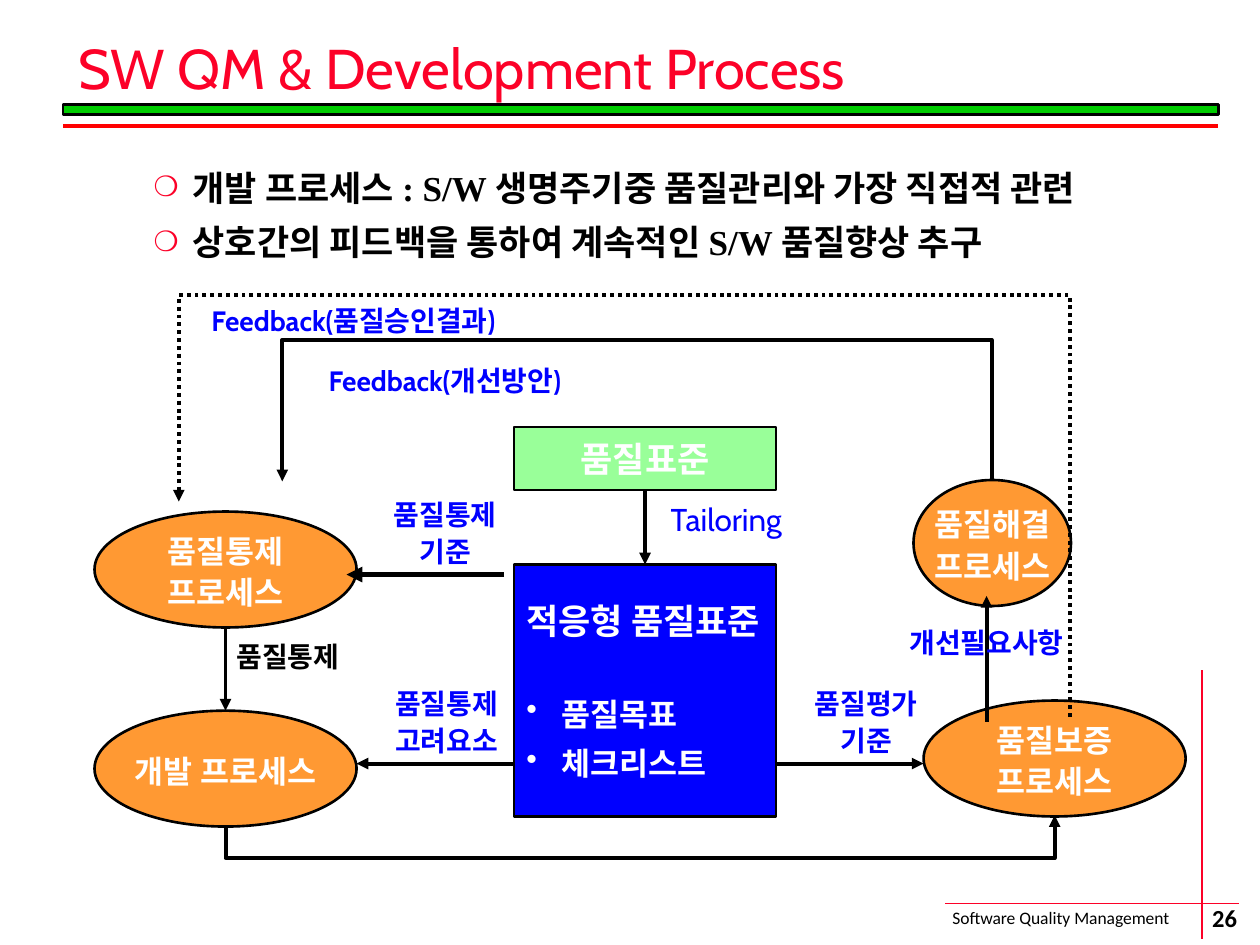
from dataclasses import dataclass
from typing import Optional

from lxml.etree import SubElement
from pptx import Presentation
from pptx.dml.color import RGBColor
from pptx.enum.dml import MSO_LINE
from pptx.enum.shapes import MSO_CONNECTOR, MSO_SHAPE
from pptx.enum.text import MSO_ANCHOR, MSO_AUTO_SIZE, PP_ALIGN
from pptx.oxml.ns import qn
from pptx.util import Inches, Pt

BLACK = RGBColor(0x00, 0x00, 0x00)
WHITE = RGBColor(0xFF, 0xFF, 0xFF)
BLUE = RGBColor(0x00, 0x00, 0xFF)
RED = RGBColor(0xFF, 0x00, 0x00)
CRIMSON = RGBColor(0xFC, 0x01, 0x28)
GREEN = RGBColor(0x00, 0xCC, 0x00)
MINT = RGBColor(0x99, 0xFF, 0x99)
ORANGE = RGBColor(0xFF, 0x99, 0x33)

SERIF, SANS, TITLE, SMALL = "Times New Roman", "Noto Sans CJK KR", "Cabin", "Calibri"


@dataclass
class Style:
    size: float
    font: str
    color: RGBColor
    bold: bool = True
    align: PP_ALIGN = PP_ALIGN.CENTER
    spacing: float = 1.0


@dataclass
class Node:
    lines: list
    box: tuple
    kind: MSO_SHAPE
    fill: RGBColor
    style: Optional[Style] = None


@dataclass
class Label:
    lines: list
    box: tuple
    style: Style
    anchor: MSO_ANCHOR = MSO_ANCHOR.TOP
    margin: float = 0.1


@dataclass
class Line:
    start: tuple
    end: tuple
    width: float = 2.25
    color: RGBColor = BLACK
    arrow: bool = True


@dataclass
class Elbow:
    start: tuple
    end: tuple
    bar: float
    dash: Optional[MSO_LINE] = None


NODE = Style(18, SANS, WHITE, spacing=1.1)
BOX = Style(20, SERIF, WHITE)
HEADING = Style(20, SERIF, WHITE, align=PP_ALIGN.LEFT)
ITEM = Style(18, SERIF, WHITE, align=PP_ALIGN.LEFT, spacing=1.3)
NOTE = Style(16, SERIF, BLUE, spacing=1.1)
NOTE_BLACK = Style(16, SERIF, BLACK, spacing=1.1)
FEEDBACK = Style(16, TITLE, BLUE, spacing=1.1)
TAILORING = Style(18, TITLE, BLUE, bold=False, spacing=1.1)
FOOTER = Style(10, SMALL, BLACK, bold=False, align=PP_ALIGN.LEFT)
PAGE = Style(14, SMALL, BLACK)
HEADLINE = Style(32, TITLE, CRIMSON, bold=False, align=PP_ALIGN.LEFT, spacing=0.9)
BODY = Style(20, SERIF, BLACK, align=PP_ALIGN.LEFT, spacing=1.3)

STANDARD = Node(["품질표준"], (4.08, 3.39, 2.08, 0.5), MSO_SHAPE.RECTANGLE, MINT, BOX)
ADAPTED = Node(["적응형 품질표준"], (4.08, 4.48, 2.08, 2), MSO_SHAPE.RECTANGLE, BLUE, HEADING)
PROCESSES = [
    Node(lines, box, MSO_SHAPE.OVAL, ORANGE, NODE)
    for lines, box in [
        (["개발 프로세스"], (0.75, 5.64, 2.08, 0.92)),
        (["품질통제", "프로세스"], (0.75, 4.06, 2.08, 0.92)),
        (["품질보증", "프로세스"], (7.33, 5.56, 2.08, 0.92)),
        (["품질해결", "프로세스"], (7.25, 3.81, 1.25, 1)),
    ]
]
RULES = [
    Line((7.5, 7.17), (9.83, 7.17), 1, CRIMSON, False),
    Line((9.54, 5.32), (9.54, 7.45), 1, CRIMSON, False),
    Line((0.5, 1), (9.67, 1), 2.25, RED, False),
]
ARROWS = [
    Line((4, 4.56), (2.75, 4.56), 3),
    Line((4.08, 6.06), (2.83, 6.06)),
    Line((6.17, 6.06), (7.33, 6.06)),
    Line((7.83, 5.73), (7.83, 4.73)),
    Line((1.79, 4.98), (1.79, 5.64)),
]
ELBOWS = [
    Elbow((7.87, 3.81), (2.24, 3.82), 2.68),
    Elbow((1.79, 6.56), (8.37, 6.47), 6.81),
    Elbow((8.49, 5.69), (1.42, 3.98), 2.34, MSO_LINE.ROUND_DOT),
]
LABELS = [
    Label(["Software Quality Management"], (7.46, 7.15, 2.19, 0.27), FOOTER),
    Label(["26"], (9.22, 7.15, 1, 0.27), PAGE, MSO_ANCHOR.MIDDLE, 0),
    Label(["품질통제", "기준"], (3.03, 3.87, 1.01, 0.69), NOTE),
    Label(["품질평가", "기준"], (6.37, 5.37, 1.01, 0.69), NOTE),
    Label(["품질통제", "고려요소"], (3.04, 5.37, 1.01, 0.69), NOTE),
    Label(["품질통제"], (1.78, 5, 1.01, 0.4), NOTE_BLACK),
    Label(["개선필요사항"], (7.12, 4.89, 1.42, 0.4), NOTE),
    Label(["Tailoring"], (5.15, 3.89, 1.23, 0.43), TAILORING),
    Label(["Feedback(개선방안)"], (2.37, 2.81, 2.32, 0.4), FEEDBACK),
    Label(["Feedback(품질승인결과)"], (1.44, 2.33, 2.73, 0.4), FEEDBACK),
]


def inches(values: tuple) -> list:
    return [Inches(v) for v in values]


def set_all(target, values: dict) -> None:
    for name, value in values.items():
        setattr(target, name, value)


def set_frame(tf, anchor, wrap: bool, margin: float = 0.1) -> None:
    set_all(tf, {"auto_size": MSO_AUTO_SIZE.NONE, "word_wrap": wrap, "vertical_anchor": anchor,
                 "margin_left": Inches(margin), "margin_right": Inches(margin),
                 "margin_top": Inches(margin / 2), "margin_bottom": Inches(margin / 2)})


def write(p, text: str, style: Style, before: float = 0) -> None:
    set_all(p, {"alignment": style.align, "line_spacing": style.spacing,
                "space_before": Pt(before), "space_after": Pt(0)})
    r = p.add_run()
    r.text = text
    set_all(r.font, {"size": Pt(style.size), "bold": style.bold, "name": style.font})
    r.font.color.rgb = style.color
    SubElement(r.font._element, qn("a:ea")).set("typeface", SANS)


def write_lines(tf, lines: list, style: Style) -> None:
    for i, text in enumerate(lines):
        write(tf.add_paragraph() if i else tf.paragraphs[0], text, style)


def add_bullet(p, char: str, color: RGBColor, percent: int, left: float, hang: float) -> None:
    pPr = p._p.get_or_add_pPr()
    pPr.set("marL", str(Inches(left)))
    pPr.set("indent", str(-Inches(hang)))
    SubElement(SubElement(pPr, qn("a:buClr")), qn("a:srgbClr")).set("val", str(color))
    SubElement(pPr, qn("a:buSzPct")).set("val", str(percent * 1000))
    SubElement(pPr, qn("a:buChar")).set("char", char)


def add_node(s, node: Node):
    sp = s.shapes.add_shape(node.kind, *inches(node.box))
    sp.shadow.inherit = False
    sp.fill.solid()
    sp.fill.fore_color.rgb = node.fill
    sp.line.color.rgb = BLACK
    sp.line.width = Pt(1.5)
    if node.lines:
        set_frame(sp.text_frame, MSO_ANCHOR.MIDDLE, False)
        write_lines(sp.text_frame, node.lines, node.style)
    return sp


def add_label(s, label: Label) -> None:
    tf = s.shapes.add_textbox(*inches(label.box)).text_frame
    set_frame(tf, label.anchor, False, label.margin)
    write_lines(tf, label.lines, label.style)


def add_line(s, line: Line, kind=MSO_CONNECTOR.STRAIGHT):
    c = s.shapes.add_connector(kind, *inches(line.start + line.end))
    c.line.color.rgb = line.color
    c.line.width = Pt(line.width)
    if line.arrow:
        SubElement(c.line._get_or_add_ln(), qn("a:tailEnd")).set("type", "triangle")
    SubElement(c._element.spPr, qn("a:effectLst"))
    return c


def add_elbow(s, elbow: Elbow) -> None:
    (x1, y1), (x2, y2) = elbow.start, elbow.end
    c = add_line(s, Line(elbow.start, elbow.end), MSO_CONNECTOR.ELBOW)
    if elbow.dash:
        c.line.dash_style = elbow.dash
    w, h = abs(y2 - y1), abs(x2 - x1)
    set_all(c, {"left": Inches((x1 + x2 - w) / 2), "top": Inches((y1 + y2 - h) / 2),
                "width": Inches(w), "height": Inches(h)})
    xfrm = c._element.spPr.find(qn("a:xfrm"))
    for name, value in {"rot": 90 * 60000, "flipH": int(y1 > y2), "flipV": int(x1 < x2)}.items():
        xfrm.set(name, str(value))
    bend = round((elbow.bar - y1) / (y2 - y1) * 100000)
    gd = SubElement(c._element.spPr.find(qn("a:prstGeom")).find(qn("a:avLst")), qn("a:gd"))
    gd.set("name", "adj1")
    gd.set("fmla", f"val {bend}")


def add_placeholder(sp, box: tuple, anchor):
    set_all(sp, dict(zip(("left", "top", "width", "height"), inches(box))))
    set_frame(sp.text_frame, anchor, True)
    return sp.text_frame


def main() -> None:
    prs = Presentation()
    prs.slide_width, prs.slide_height = Inches(10), Inches(7.5)
    s = prs.slides.add_slide(prs.slide_layouts[1])

    add_node(s, Node([], (0.5, 0.83, 9.17, 0.08), MSO_SHAPE.RECTANGLE, GREEN))
    for rule in RULES:
        add_line(s, rule)

    tf = add_placeholder(s.shapes.title, (0.52, 0.35, 9.13, 0.44), MSO_ANCHOR.MIDDLE)
    write_lines(tf, ["SW QM & Development Process"], HEADLINE)
    tf = add_placeholder(s.placeholders[1], (0.5, 1.17, 9.33, 6.02), MSO_ANCHOR.TOP)
    write_lines(tf, ["개발 프로세스 : S/W 생명주기중 품질관리와 가장 직접적 관련",
                     "상호간의 피드백을 통하여 계속적인 S/W 품질향상 추구"], BODY)
    for p in tf.paragraphs:
        p.level = 1
        add_bullet(p, "❍", CRIMSON, 80, 0.93, 0.31)

    standard, adapted = add_node(s, STANDARD), add_node(s, ADAPTED)
    for text, before in (("품질목표", 24), ("체크리스트", 0)):
        p = adapted.text_frame.add_paragraph()
        write(p, text, ITEM, before)
        add_bullet(p, "•", WHITE, 100, 0.28, 0.28)
    for node in PROCESSES:
        add_node(s, node)

    for elbow in ELBOWS:
        add_elbow(s, elbow)
    for arrow in ARROWS:
        add_line(s, arrow)
    c = add_line(s, Line((5.12, 3.89), (5.12, 4.48)))
    c.begin_connect(standard, 2)
    c.end_connect(adapted, 0)

    for label in LABELS:
        add_label(s, label)
    prs.save("out.pptx")


if __name__ == "__main__":
    main()
